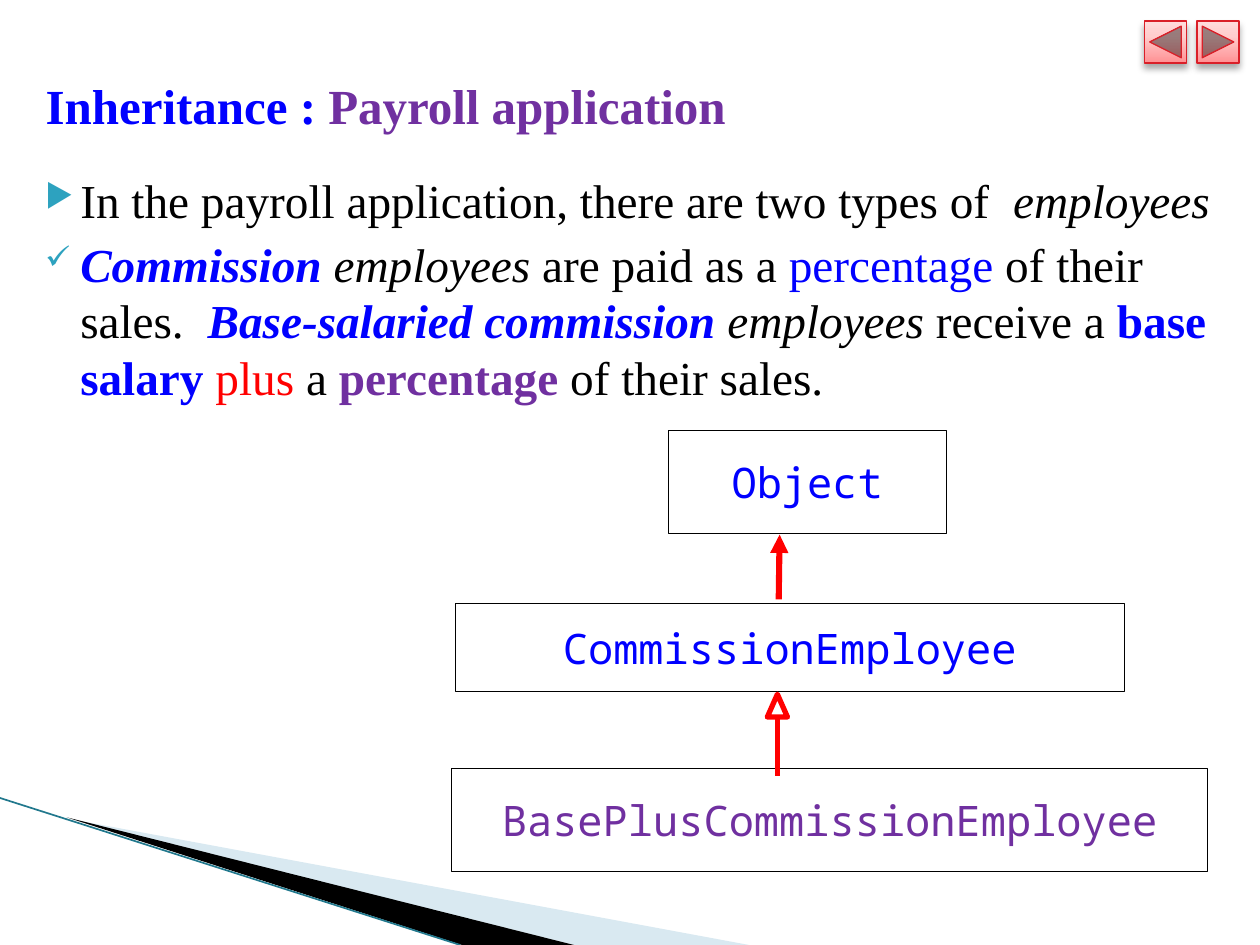
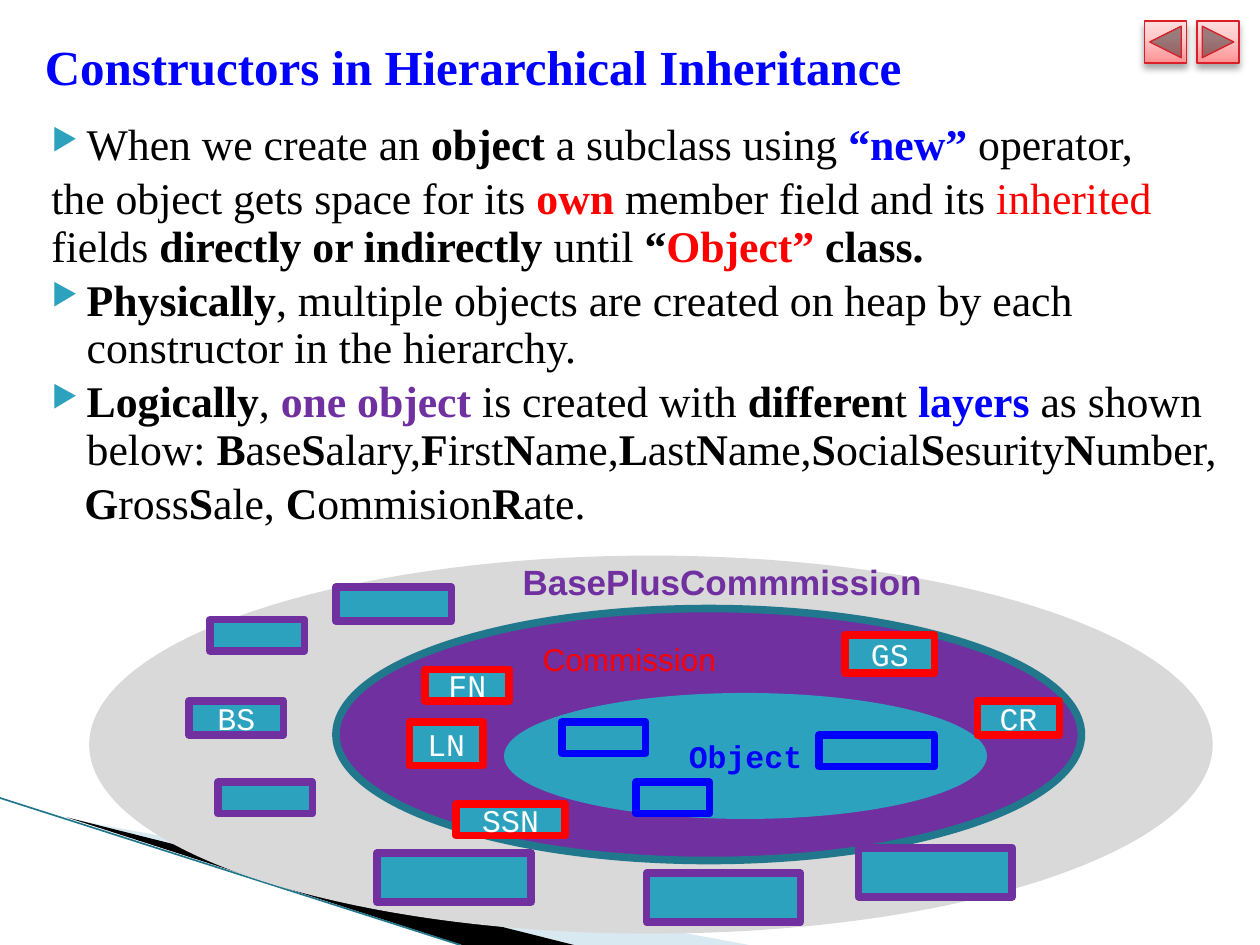
import itertools
from dataclasses import dataclass
from typing import NamedTuple

import pptx
import pptx.util
import pptx.dml.color
import pptx.enum.shapes
import pptx.enum.text
import pptx.oxml
import pptx.oxml.ns

Pt = pptx.util.Pt
SHAPE = pptx.enum.shapes.MSO_SHAPE
ANCHOR = pptx.enum.text.MSO_ANCHOR
ALIGN = pptx.enum.text.PP_ALIGN
NS = pptx.oxml.ns.nsdecls("a")

COLORS = {
    "black": "000000", "white": "FFFFFF", "blue": "0000FF", "red": "FF0000",
    "purple": "7030A0", "teal": "2DA2BF", "deep teal": "21788D",
    "grey": "D9D9D9", "pale band": "D9E9F1", "button edge": "DA1F28",
    "button low": "FF9294", "button mid": "FFCDCD", "button high": "FFDCDC",
}
SERIF, SANS, COURIER, MONO = "Times New Roman", "Arial", "Courier New", "Noto Sans Mono"
THICK = 4.33


class Run(NamedTuple):
    text: str
    color: str = "black"
    style: str = ""  # any of "b" and "i"


@dataclass
class Para:
    runs: list[Run]
    bullet: str = ""
    left: float = 28.8


@dataclass
class Box:
    left: float
    top: float
    width: float
    height: float
    text: str = ""
    fill: str = ""
    line: str = ""
    line_width: float = THICK
    color: str = "white"
    font: str = COURIER
    size: float = 18
    bold: bool = False
    shape: int = SHAPE.RECTANGLE


def rgb(name: str) -> pptx.dml.color.RGBColor:
    return pptx.dml.color.RGBColor.from_string(COLORS[name])


def add_xml(parent, tag: str, attributes: str = "", inner: str = ""):
    element = pptx.oxml.parse_xml(f"<a:{tag} {NS} {attributes}>{inner}</a:{tag}>")
    parent.append(element)
    return element


def set_font(font, color: str, **values) -> None:
    for name, value in values.items():
        setattr(font, name, value)
    font.color.rgb = rgb(color)


def add_box(slide, box: Box):
    place = map(Pt, (box.left, box.top, box.width, box.height))
    shape = slide.shapes.add_shape(box.shape, *place)
    shape.shadow.inherit = False
    if box.fill:
        shape.fill.solid()
        shape.fill.fore_color.rgb = rgb(box.fill)
    else:
        shape.fill.background()
    if box.line:
        shape.line.color.rgb = rgb(box.line)
        shape.line.width = Pt(box.line_width)
        add_xml(shape.line._get_or_add_ln(), "round")
    else:
        shape.line.fill.background()
    if box.text:
        frame = shape.text_frame
        frame.word_wrap = True
        frame.vertical_anchor = ANCHOR.MIDDLE
        paragraph = frame.paragraphs[0]
        paragraph.alignment = ALIGN.CENTER
        run = paragraph.add_run()
        run.text = box.text
        set_font(run.font, box.color, name=box.font, size=Pt(box.size), bold=box.bold)
    return shape


def add_line(slide, start: tuple, end: tuple, color: str, width: float, arrow: bool = False) -> None:
    line = slide.shapes.add_connector(
        pptx.enum.shapes.MSO_CONNECTOR.STRAIGHT, *map(Pt, start + end))
    line.line.color.rgb = rgb(color)
    line.line.width = Pt(width)
    if arrow:
        add_xml(line.line._get_or_add_ln(), "tailEnd", 'type="triangle"')
    add_xml(line._element.spPr, "effectLst")


def add_text(slide, place: tuple, paragraphs: list[Para], font: str, size: float,
             spacing: float = 0, anchor=ANCHOR.TOP) -> None:
    frame = slide.shapes.add_textbox(*map(Pt, place)).text_frame
    frame.word_wrap = True
    frame.vertical_anchor = anchor
    for index, para in enumerate(paragraphs):
        paragraph = frame.add_paragraph() if index else frame.paragraphs[0]
        properties = paragraph._p.get_or_add_pPr()
        properties.set("marL", str(Pt(para.left)))
        if para.bullet:
            properties.set("indent", str(Pt(-20)))
            add_xml(properties, "buClr", inner=f'<a:srgbClr val="{COLORS["teal"]}"/>')
            add_xml(properties, "buSzPct", 'val="68000"')
            add_xml(properties, "buChar", f'char="{para.bullet}"')
        if spacing:
            paragraph.line_spacing = Pt(spacing)
        if index:
            paragraph.space_before = Pt(4)
        for part in para.runs:
            run = paragraph.add_run()
            run.text = part.text
            set_font(run.font, part.color, name=font, size=Pt(size),
                     bold="b" in part.style, italic="i" in part.style)


def add_title(slide, place: tuple, runs: list[Run]) -> None:
    add_text(slide, place, [Para(runs, left=7)], SERIF, 28, anchor=ANCHOR.MIDDLE)


def bold_capitals(text: str) -> list[Run]:
    return [Run("".join(letters), style="b" if capital else "")
            for capital, letters in itertools.groupby(text, str.isupper)]


# Shared corner bands and navigation buttons
def add_band(slide, points: list[tuple], color: str) -> None:
    start, *rest = [(Pt(x), Pt(y)) for x, y in points]
    builder = slide.shapes.build_freeform(*start, scale=1.0)
    builder.add_line_segments(rest, close=True)
    band = builder.convert_to_shape()
    band.shadow.inherit = False
    band.fill.solid()
    band.fill.fore_color.rgb = rgb(color)
    band.line.fill.background()


def add_button(slide, left: float, shape: int) -> None:
    button = add_box(slide, Box(left, 12, 24, 24, fill="button mid", line="button edge",
                                line_width=0.75, shape=shape))
    properties = button._element.spPr
    stops = "".join(
        f'<a:gs pos="{position}"><a:srgbClr val="{COLORS[name]}"/></a:gs>'
        for position, name in ((0, "button low"), (65000, "button mid"), (100000, "button high")))
    gradient = add_xml(properties, "gradFill", 'rotWithShape="1"',
                       f'<a:gsLst>{stops}</a:gsLst><a:lin ang="16200000" scaled="0"/>')
    properties.replace(properties.find(pptx.oxml.ns.qn("a:solidFill")), gradient)
    add_xml(properties.find(pptx.oxml.ns.qn("a:effectLst")), "outerShdw",
            f'blurRad="{Pt(4)}" dist="{Pt(3)}" dir="5400000" rotWithShape="0"',
            '<a:srgbClr val="000000"><a:alpha val="35000"/></a:srgbClr>')


def new_slide(deck):
    slide = deck.slides.add_slide(deck.slide_layouts[6])
    add_band(slide, [(39.6, 468), (428, 540), (328, 540)], "pale band")
    add_band(slide, [(38, 467), (328, 540), (264, 540)], "black")
    add_line(slide, (0, 456), (263, 540), "deep teal", 0.95)
    add_button(slide, 654, SHAPE.ACTION_BUTTON_BACK_OR_PREVIOUS)
    add_button(slide, 684, SHAPE.ACTION_BUTTON_FORWARD_OR_NEXT)
    return slide


def build_payroll(deck) -> None:
    slide = new_slide(deck)
    add_title(slide, (12, 21, 666, 78),
              [Run("Inheritance : ", "blue", "b"), Run("Payroll application", "purple", "b")])
    add_text(slide, (10, 94.5, 692, 150), [
        Para([Run("In the payroll application, there are two types of  "),
              Run("employees", style="i")], "▶"),
        Para([Run("Commission ", "blue", "bi"), Run("employees ", style="i"),
              Run("are paid as a "), Run("percentage", "blue"), Run(" of their sales.  "),
              Run("Base-salaried commission ", "blue", "bi"), Run("employees ", style="i"),
              Run("receive a "), Run("base salary ", "blue", "b"), Run("plus", "red"),
              Run(" a "), Run("percentage", "purple", "b"), Run(" of their sales.")], "✓"),
    ], SERIF, 27, spacing=32.3)

    # Class hierarchy
    for text, color, place in (
        ("Object", "blue", (382, 246, 158.5, 59)),
        ("CommissionEmployee", "blue", (260, 345, 382.5, 50)),
        ("BasePlusCommissionEmployee", "purple", (258, 439, 432, 59)),
    ):
        add_box(slide, Box(*place, text=text, color=color, line="black",
                           line_width=0.25, font=MONO, size=24))
    add_box(slide, Box(438.5, 396.7, 11.5, 13, line="red", line_width=3,
                       shape=SHAPE.ISOSCELES_TRIANGLE))
    add_line(slide, (444.25, 411), (444.25, 443.5), "red", 3)
    add_line(slide, (445, 342.5), (445.5, 305.5), "red", 3.5, arrow=True)


def build_constructors(deck) -> None:
    slide = new_slide(deck)
    add_title(slide, (11.5, 9.5, 660, 56),
              [Run("Constructors in Hierarchical Inheritance", "blue", "b")])
    add_text(slide, (13.7, 66.2, 700, 245), [
        Para([Run("When we create an "), Run("object ", style="b"), Run("a subclass using "),
              Run("“new” ", "blue", "b"), Run("operator,")], "▶"),
        Para([Run("the object gets space for its "), Run("own ", "red", "b"),
              Run("member field and its "), Run("inherited ", "red"), Run("fields "),
              Run("directly or indirectly ", style="b"), Run("until"), Run(" “", style="b"),
              Run("Object”", "red", "b"), Run(" class.", style="b")], left=8.6),
        Para([Run("Physically", style="b"),
              Run(", multiple objects are created on heap by each constructor "
                  "in the hierarchy.")], "▶"),
        Para([Run("Logically", style="b"), Run(", "), Run("one object ", "purple", "b"),
              Run("is created with "), Run("differen", style="b"), Run("t "),
              Run("layers", "blue", "b"), Run(" as shown below: "),
              *bold_capitals("BaseSalary,FirstName,LastName,SocialSesurityNumber,")], "▶"),
        Para(bold_capitals("GrossSale, CommisionRate."), left=27.5),
    ], SERIF, 25, spacing=27)

    # Nested object layers
    for layer in (
        Box(51, 317.5, 642, 216, fill="grey"),
        Box(192, 347.75, 426, 144, fill="purple", line="deep teal"),
        Box(288, 396, 276, 72, "Object", fill="teal", color="blue", bold=True),
    ):
        layer.shape = SHAPE.OVAL
        add_box(slide, layer)
    for place, label in (
        ((303, 362, 177, 29), (Run("Commission", "red"), 18)),
        ((291.5, 317, 270, 31.5), (Run("BasePlusCommmission", "purple", "b"), 20)),
    ):
        add_text(slide, place, [Para([label[0]], left=0)], SANS, label[1])

    # Fields held by each layer
    fields = {
        "blue": [(321, 412.5, 48, 18), (363.5, 447, 42, 18), (468, 420, 66, 18)],
        "red": [(243, 382.5, 48, 18, "FN"), (234, 412.5, 42, 25, "LN"),
                (483, 363, 51, 21.5, "GS"), (558.5, 400.5, 47, 19.5, "CR"),
                (260.5, 459.5, 62.5, 18, "SSN")],
        "purple": [(120, 354, 54, 18), (192, 335.5, 66, 19.5), (108, 400.5, 54, 19.5, "BS"),
                   (124.5, 447, 54, 18), (215.5, 487.5, 88, 28), (369.5, 499, 88, 28),
                   (490.5, 484.5, 88, 28)],
    }
    for edge, boxes in fields.items():
        for field in boxes:
            add_box(slide, Box(*field, fill="teal", line=edge))


def main() -> None:
    deck = pptx.Presentation()
    deck.slide_width, deck.slide_height = Pt(720), Pt(540)
    build_payroll(deck)
    build_constructors(deck)
    deck.save("out.pptx")


if __name__ == "__main__":
    main()
